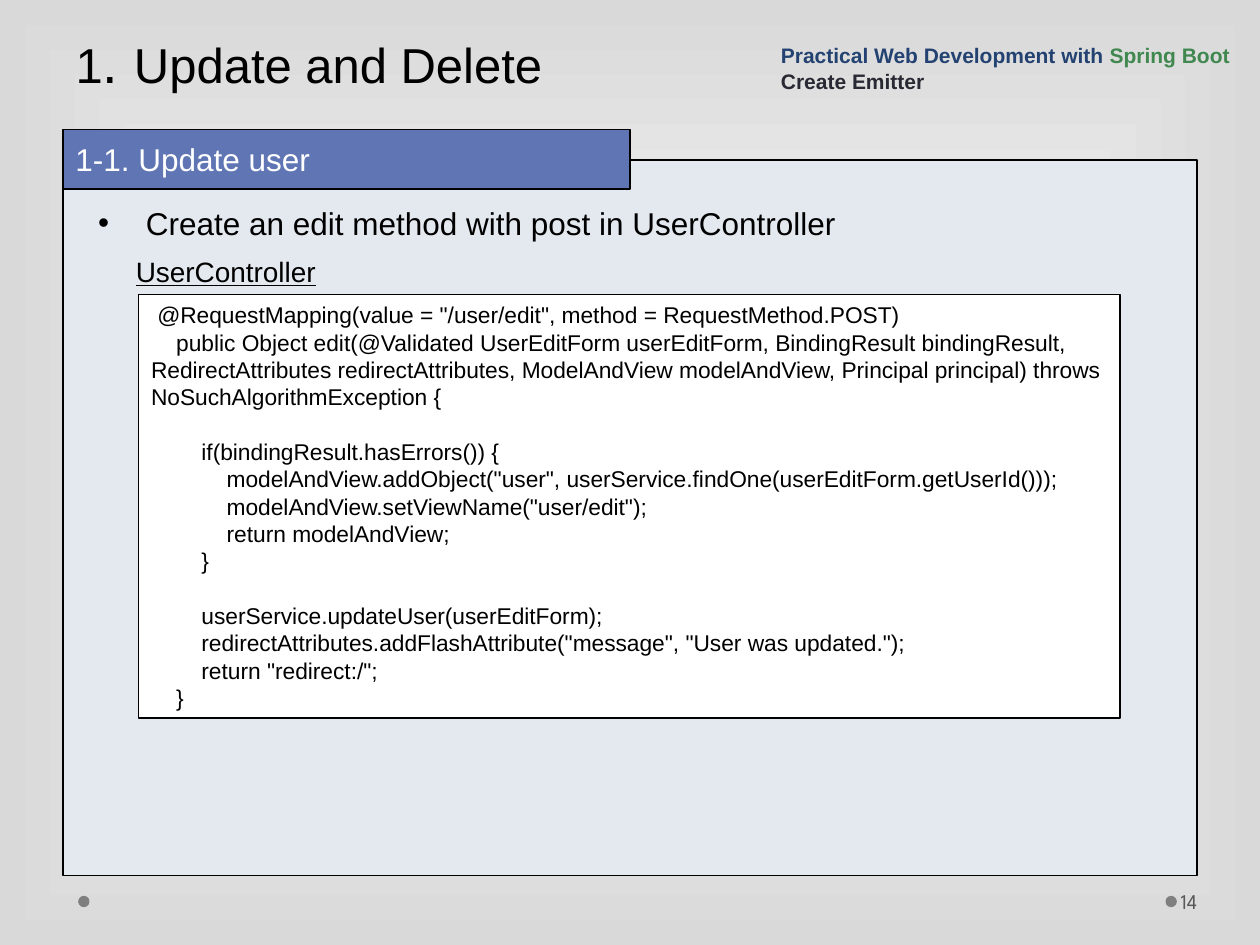
from lxml import etree
from pptx import Presentation
from pptx import util as u
from pptx.dml.color import RGBColor
from pptx.enum import shapes, text
from pptx.oxml.ns import qn

COLORS = {
    "ink": "000000", "white": "FFFFFF", "edge": "D9D9D9", "panel": "E4E9EF",
    "bar": "6076B4", "dot": "7F7F7F", "number": "595959",
    "course": "234271", "framework": "40884F", "topic": "292934",
}
CODE = '''\
 @RequestMapping(value = "/user/edit", method = RequestMethod.POST)
    public Object edit(@Validated UserEditForm userEditForm, BindingResult bindingResult, \
RedirectAttributes redirectAttributes, ModelAndView modelAndView, Principal principal) throws \
NoSuchAlgorithmException {

        if(bindingResult.hasErrors()) {
            modelAndView.addObject("user", userService.findOne(userEditForm.getUserId()));
            modelAndView.setViewName("user/edit");
            return modelAndView;
        }

        userService.updateUser(userEditForm);
        redirectAttributes.addFlashAttribute("message", "User was updated.");
        return "redirect:/";
    }'''
CODE_SIZE, CODE_PITCH = 13, 15.62


def color(name):
    return RGBColor.from_string(COLORS[name])


def write(box, content, *, size, ink="ink", font="Arial", bold=None, underline=None,
          anchor=text.MSO_ANCHOR.TOP, left=0.1, pitch=None, gap=0, bullet=None, indent=0):
    """Fill a box from a list of paragraphs, each a list of (text, overrides).

    An empty paragraph list adds a gap before the next paragraph.
    """
    frame = box.text_frame
    frame.word_wrap = True
    frame.auto_size = text.MSO_AUTO_SIZE.NONE
    frame.vertical_anchor = anchor
    frame.margin_left = u.Inches(left)
    para, before = frame.paragraphs[0], 0
    for spans in content:
        if not spans:
            before = gap
            continue
        if para.runs:
            para = frame.add_paragraph()
        para.alignment = text.PP_ALIGN.LEFT
        if pitch:
            para.line_spacing = u.Pt(pitch)
        if before:
            para.space_before = u.Pt(before)
            before = 0
        if bullet:
            props = para._p.get_or_add_pPr()
            props.set("marL", str(u.Inches(indent)))
            props.set("indent", str(-u.Inches(indent)))
            etree.SubElement(props, qn("a:buFont"), typeface="Arial")
            etree.SubElement(props, qn("a:buChar"), char=bullet)
        for words, changes in spans:
            span = para.add_run()
            span.text = words
            span.font.name = font
            span.font.size = u.Pt(changes.get("size", size))
            span.font.bold = bold
            span.font.underline = underline
            span.font.color.rgb = color(changes.get("ink", ink))


deck = Presentation()
deck.slide_width, deck.slide_height = u.Inches(10), u.Inches(7.5)
page = deck.slides.add_slide(deck.slide_layouts[5])

# Background: light centre fading to grey edges
backdrop = page.background.fill
backdrop.gradient()
for stop, name in zip(backdrop.gradient_stops, ("white", "edge")):
    stop.color.rgb = color(name)
gradient = page.background._cSld.find(".//" + qn("a:gradFill"))
gradient.remove(gradient.find(qn("a:lin")))
focus = etree.SubElement(gradient, qn("a:path"), path="rect")
etree.SubElement(focus, qn("a:fillToRect"), l="50000", t="50000", r="50000", b="50000")

# Filled shapes, back to front
blocks = {}
for name, kind, place, fill, outlined in (
    ("right dot", "OVAL", (9.25, 7.11, 0.09, 0.09), "dot", False),
    ("left dot", "OVAL", (0.62, 7.11, 0.09, 0.09), "dot", False),
    ("panel", "RECTANGLE", (0.5, 1.27, 9, 5.68), "panel", True),
    ("section", "RECTANGLE", (0.5, 1.03, 4.5, 0.47), "bar", True),
    ("code", "RECTANGLE", (1.1, 2.34, 7.79, 3.36), "white", True),
):
    shape = page.shapes.add_shape(shapes.MSO_SHAPE[kind], *map(u.Inches, place))
    shape.shadow.inherit = False
    shape.fill.solid()
    shape.fill.fore_color.rgb = color(fill)
    if outlined:
        shape.line.color.rgb = color("ink")
        shape.line.width = u.Pt(0.75)
    else:
        shape.line.fill.background()
    blocks[name] = shape

for name, place in (
    ("number", (9.34, 6.95, 0.61, 0.4)),
    ("task", (0.68, 1.57, 7.74, 0.4)),
    ("course", (6.1, 0.24, 3.9, 0.55)),
    ("class", (0.98, 1.97, 7.44, 0.37)),
):
    blocks[name] = page.shapes.add_textbox(*map(u.Inches, place))

title = page.shapes.title
title.left, title.top, title.width, title.height = map(u.Inches, (0.5, 0, 9, 0.8))
write(title, [[("1", {}), (". ", {"size": 32}), ("Update and Delete", {})]],
      size=28, anchor=text.MSO_ANCHOR.BOTTOM, pitch=58)
write(blocks["section"], [[("1-1. Update user", {})]],
      size=18, ink="white", anchor=text.MSO_ANCHOR.MIDDLE)
write(blocks["task"], [[("Create an edit method with post in UserController", {})]],
      size=18, bullet="•", indent=0.38)
write(blocks["course"],
      [[("Practical Web Development with ", {}), ("Spring Boot", {"ink": "framework"})],
       [("Create Emitter", {"ink": "topic"})]],
      size=12, ink="course", bold=True, anchor=text.MSO_ANCHOR.BOTTOM)
write(blocks["class"], [[("UserController", {})]], size=16, underline=True)
write(blocks["code"], [[(line, {})] if line else [] for line in CODE.split("\n")],
      size=CODE_SIZE, pitch=CODE_PITCH, gap=CODE_PITCH)
write(blocks["number"], [[("14", {})]], size=12, ink="number", font="League Spartan",
      anchor=text.MSO_ANCHOR.MIDDLE, left=0.03)

deck.save("out.pptx")
